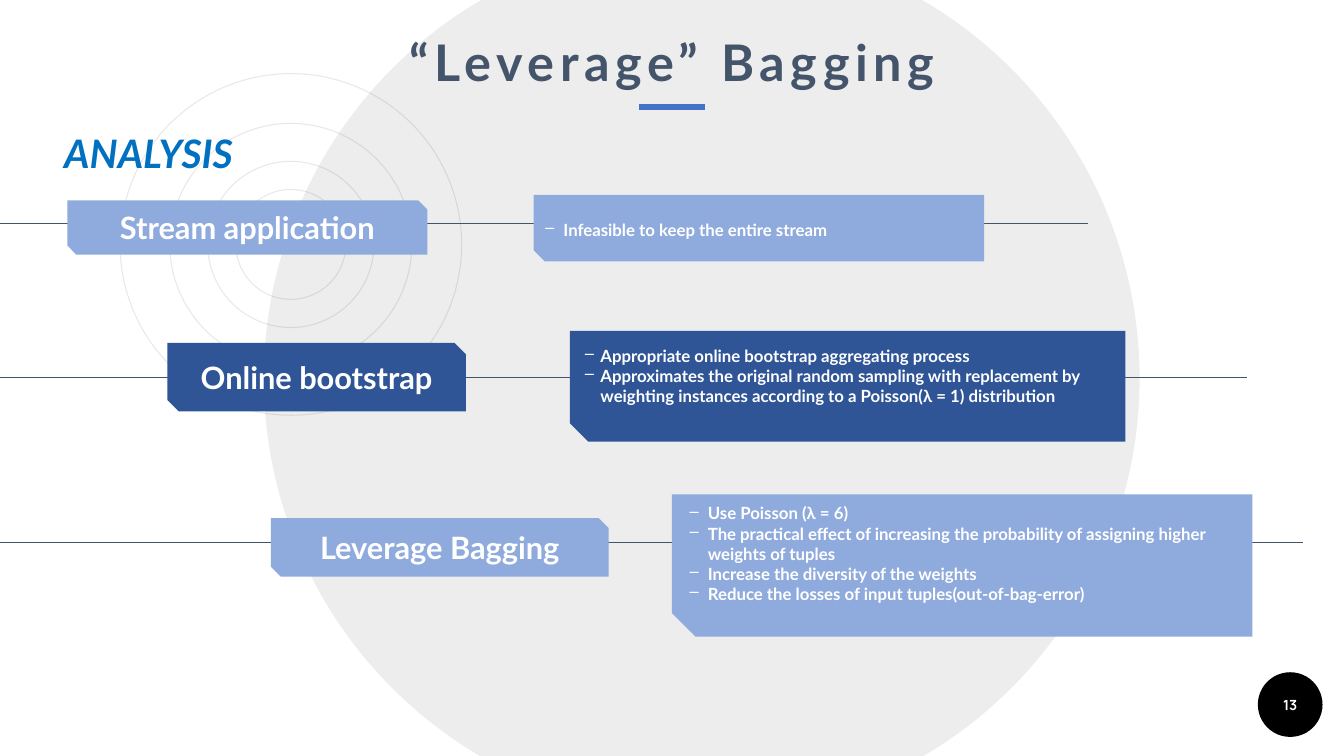
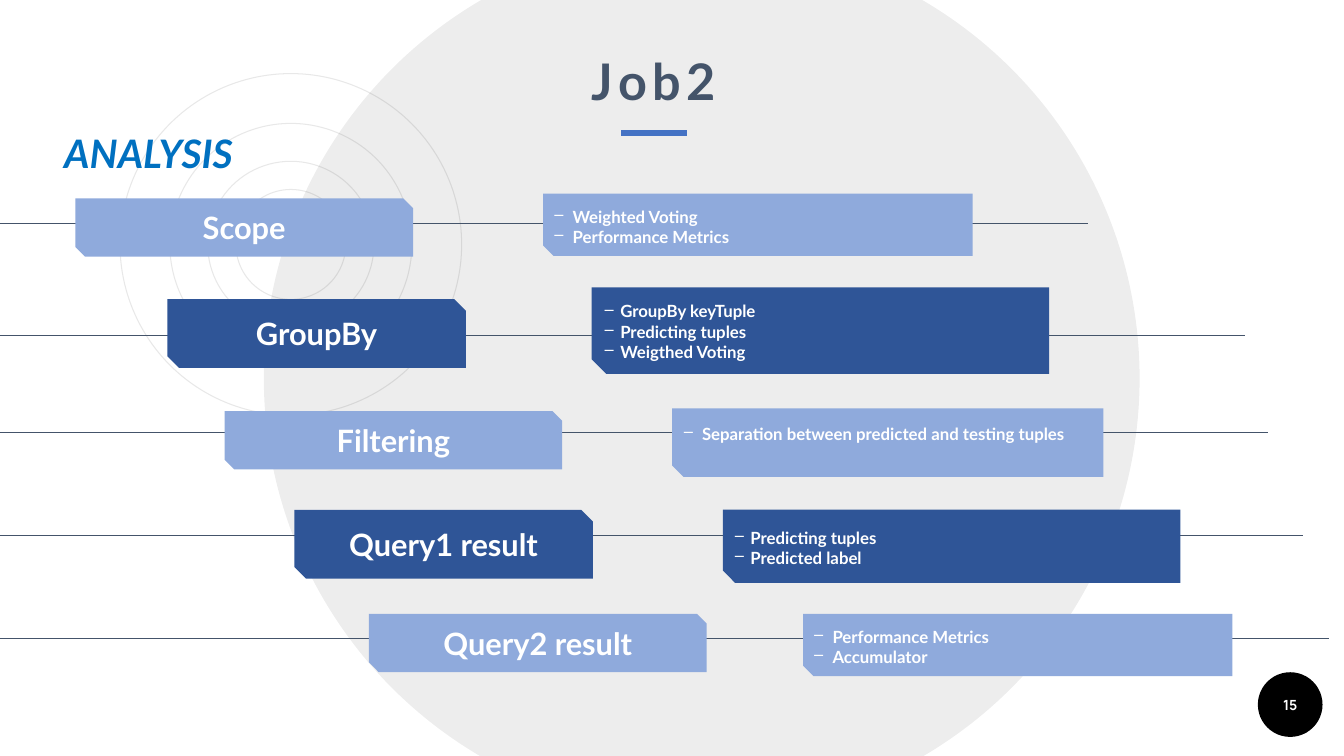
from dataclasses import dataclass
from typing import Any, Optional

from pptx import Presentation
from pptx.dml.color import RGBColor
from pptx.enum.shapes import MSO_CONNECTOR as Connector, MSO_SHAPE as Preset
from pptx.enum.text import MSO_VERTICAL_ANCHOR as Anchor, PP_PARAGRAPH_ALIGNMENT as Align
from pptx.oxml.ns import qn
from pptx.util import Cm, Pt
from lxml.etree import SubElement

# Shared look
COLORS = {
    "black": "000000",
    "white": "FFFFFF",
    "ring": "E8E8E8",
    "slate": "44546A",
    "accent": "4472C4",
    "heading": "0070C0",
    "light": "8FAADC",
    "dark": "2F5597",
}
FORMATS: dict[str, dict[str, Any]] = {
    "title": {"name": "Lato", "size": Pt(36), "bold": True},
    "heading": {"name": "Lato", "size": Pt(28), "bold": True, "italic": True},
    "tag": {"name": "Lato", "size": Pt(22), "bold": True},
    "point": {"name": "Lato", "size": Pt(12), "bold": True},
    "page": {"name": "Manrope", "size": Pt(10), "bold": True},
}
HANGING = {"light": 0.48, "dark": 0.41}
SNIP = 0.167
PANEL_INSET = 0.13
SLIDE_WIDTH, SLIDE_HEIGHT = 33.87, 19.05
RING_CENTER = (7.33, 6.16)
RING_DIAMETERS = (8.61, 6.1, 4.19, 2.77)


@dataclass(frozen=True)
class Box:
    """A rectangle in centimetres."""
    left: float
    top: float
    width: float
    height: float

    def lengths(self) -> tuple[Cm, Cm, Cm, Cm]:
        return Cm(self.left), Cm(self.top), Cm(self.width), Cm(self.height)


@dataclass(frozen=True)
class Row:
    """A line carrying a topic tag and a panel of points."""
    topic: str
    tone: str
    line_y: float
    line_end: float
    tag: Box
    panel: Box
    text_top: float
    points: tuple[str, ...]


@dataclass(frozen=True)
class Page:
    number: str
    title: str
    title_center: float
    title_top: float
    rule_y: float
    rows: tuple[Row, ...]


BADGE = Box(31.7, 16.94, 1.63, 1.63)
DISC = Box(6.65, -1.5, 22.07, 22.07)
HEADING = Box(1.37, 3.12, 5.46, 1.45)

PAGES = (
    Page("13", "“Leverage” Bagging", 16.94, 0.66, 2.69, (
        Row("Stream application", "light", 5.64, 27.43,
            Box(1.7, 5.05, 9.07, 1.37), Box(13.45, 4.91, 11.35, 1.68), 0.62,
            ("Infeasible to keep the entire stream",)),
        Row("Online bootstrap", "dark", 9.52, 31.42,
            Box(4.22, 8.64, 7.52, 1.73), Box(14.36, 8.34, 14, 2.79), 0.37,
            ("Appropriate online bootstrap aggregating process",
             "Approximates the original random sampling with replacement by "
             "weighting instances according to a Poisson(λ = 1) distribution")),
        Row("Leverage Bagging", "light", 13.67, 32.84,
            Box(6.83, 13.06, 8.51, 1.47), Box(16.93, 12.46, 14.63, 3.58), 0.22,
            ("Use Poisson (λ = 6)",
             "The practical effect of increasing the probability of assigning "
             "higher weights of tuples",
             "Increase the diversity of the weights",
             "Reduce the losses of input tuples(out-of-bag-error)")),
    )),
    Page("15", "Job2", 16.48, 1.14, 3.35, (
        Row("Scope", "light", 5.64, 27.43,
            Box(1.9, 5, 8.51, 1.47), Box(13.69, 4.88, 10.82, 1.57), 0.32,
            ("Weighted Voting", "Performance Metrics")),
        Row("GroupBy", "dark", 8.46, 31.37,
            Box(4.22, 7.54, 7.52, 1.73), Box(14.91, 7.24, 11.53, 2.18), 0.35,
            ("GroupBy keyTuple", "Predicting tuples", "Weigthed Voting")),
        Row("Filtering", "light", 10.9, 31.95,
            Box(5.66, 10.36, 8.51, 1.47), Box(16.94, 10.29, 10.87, 1.73), 0.39,
            ("Separation between predicted and testing tuples",)),
        Row("Query1 result", "dark", 13.49, 32.84,
            Box(7.42, 12.85, 7.52, 1.73), Box(18.22, 12.84, 11.53, 1.85), 0.45,
            ("Predicting tuples", "Predicted label")),
        Row("Query2 result", "light", 16.08, 33.5,
            Box(9.3, 15.47, 8.51, 1.47), Box(20.24, 15.47, 10.82, 1.57), 0.32,
            ("Performance Metrics", "Accumulator")),
    )),
)


# Building blocks
def color(name: str) -> RGBColor:
    return RGBColor.from_string(COLORS[name])


def paint(shape: Any, fill: Optional[str] = None, line: Optional[str] = None) -> None:
    shape.shadow.inherit = False
    if fill:
        shape.fill.solid()
        shape.fill.fore_color.rgb = color(fill)
    else:
        shape.fill.background()
    if line:
        shape.line.color.rgb = color(line)
        shape.line.width = Pt(0.75)
    else:
        shape.line.fill.background()


def add_ellipse(slide: Any, box: Box, fill: Optional[str] = None,
                line: Optional[str] = None) -> Any:
    ellipse = slide.shapes.add_shape(Preset.OVAL, *box.lengths())
    paint(ellipse, fill, line)
    return ellipse


def add_line(slide: Any, start: float, end: float, y: float, tone: str, width: float) -> None:
    line = slide.shapes.add_connector(Connector.STRAIGHT, Cm(start), Cm(y), Cm(end), Cm(y))
    line.line.color.rgb = color(tone)
    line.line.width = Pt(width)
    SubElement(line._element.spPr, qn("a:effectLst"))


def write(paragraph: Any, text: str, style: str, tone: str, align: Align = Align.LEFT) -> Any:
    paragraph.alignment = align
    run = paragraph.add_run()
    run.text = text
    for attribute, value in FORMATS[style].items():
        setattr(run.font, attribute, value)
    run.font.color.rgb = color(tone)
    return run


def set_frame(shape: Any, **settings: Any) -> Any:
    frame = shape.text_frame
    for attribute, value in {"word_wrap": True, **settings}.items():
        setattr(frame, attribute, value)
    return frame


def add_dash(paragraph: Any, hanging: float) -> None:
    properties = paragraph._p.get_or_add_pPr()
    properties.set("marL", str(Cm(hanging)))
    properties.set("indent", str(-Cm(hanging)))
    dash_color = SubElement(properties, qn("a:buClr"))
    SubElement(dash_color, qn("a:srgbClr"), val=COLORS["white"])
    SubElement(properties, qn("a:buChar"), char="‒")


# Parts of a slide
def draw_backdrop(slide: Any, number: str) -> None:
    badge = add_ellipse(slide, BADGE, fill="black")
    frame = set_frame(badge, vertical_anchor=Anchor.MIDDLE, margin_left=0, margin_right=0)
    write(frame.paragraphs[0], number, "page", "white", Align.CENTER)

    center_x, center_y = RING_CENTER
    for size in RING_DIAMETERS:
        ring = Box(center_x - size / 2, center_y - size / 2, size, size)
        add_ellipse(slide, ring, line="ring")

    disc = add_ellipse(slide, DISC, fill="black")
    tint = disc._element.spPr.find(qn("a:solidFill"))[0]
    SubElement(tint, qn("a:alpha"), val="7000")


def draw_title(slide: Any, page: Page) -> None:
    width, rule = 17.0, 1.66
    box = Box(page.title_center - width / 2, page.title_top, width, 1.8)
    title = set_frame(slide.shapes.add_textbox(*box.lengths()))
    run = write(title.paragraphs[0], page.title, "title", "slate", Align.CENTER)
    run.font._element.set("spc", "400")
    add_line(slide, page.title_center - rule / 2, page.title_center + rule / 2,
             page.rule_y, "accent", 4.5)

    heading = set_frame(slide.shapes.add_textbox(*HEADING.lengths()),
                        vertical_anchor=Anchor.MIDDLE)
    write(heading.paragraphs[0], "ANALYSIS", "heading", "heading")


def draw_tag(slide: Any, row: Row) -> None:
    tag = slide.shapes.add_shape(Preset.SNIP_2_DIAG_RECTANGLE, *row.tag.lengths())
    tag.adjustments[0], tag.adjustments[1] = 0, SNIP
    paint(tag, row.tone)
    frame = set_frame(tag, vertical_anchor=Anchor.MIDDLE)
    write(frame.paragraphs[0], row.topic, "tag", "white", Align.CENTER)


def draw_panel(slide: Any, row: Row) -> None:
    box = row.panel
    cut = box.height * SNIP
    right, bottom = box.left + box.width, box.top + box.height
    corners = ((right, box.top), (right, bottom), (box.left + cut, bottom),
               (box.left, bottom - cut))
    outline = slide.shapes.build_freeform(Cm(box.left), Cm(box.top))
    outline.add_line_segments([(Cm(x), Cm(y)) for x, y in corners], close=True)
    panel = outline.convert_to_shape()
    paint(panel, row.tone)
    frame = set_frame(panel, vertical_anchor=Anchor.TOP, margin_top=Cm(row.text_top),
                      margin_left=Cm(PANEL_INSET + cut / 2),
                      margin_right=Cm(PANEL_INSET), margin_bottom=0)
    for index, point in enumerate(row.points):
        paragraph = frame.add_paragraph() if index else frame.paragraphs[0]
        write(paragraph, point, "point", "white")
        add_dash(paragraph, HANGING[row.tone])


def draw_page(slide: Any, page: Page) -> None:
    draw_backdrop(slide, page.number)
    draw_title(slide, page)
    for row in page.rows:
        add_line(slide, 0, row.line_end, row.line_y, "slate", 0.75)
        draw_tag(slide, row)
        draw_panel(slide, row)


def main() -> None:
    deck = Presentation()
    deck.slide_width, deck.slide_height = Cm(SLIDE_WIDTH), Cm(SLIDE_HEIGHT)
    blank = deck.slide_layouts[6]
    for page in PAGES:
        draw_page(deck.slides.add_slide(blank), page)
    deck.save("out.pptx")


if __name__ == "__main__":
    main()
